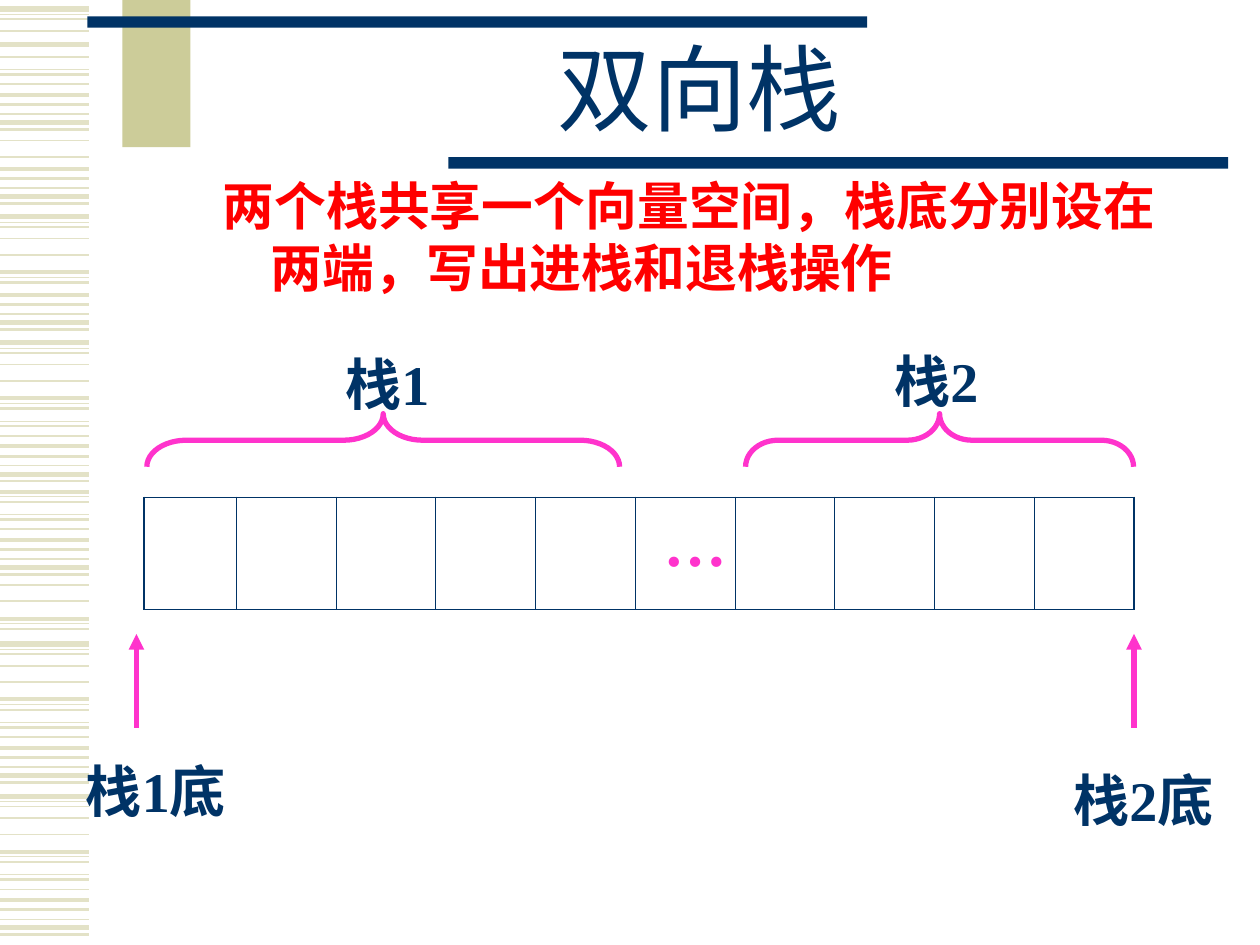
from lxml import etree
from pptx import Presentation
from pptx.dml.color import RGBColor
from pptx.enum.shapes import MSO_CONNECTOR, MSO_SHAPE
from pptx.enum.text import MSO_ANCHOR, PP_ALIGN
from pptx.oxml.ns import qn
from pptx.util import Cm, Pt

RECT, BRACE = MSO_SHAPE.RECTANGLE, MSO_SHAPE.LEFT_BRACE
LINE = MSO_CONNECTOR.STRAIGHT
MID, TOP = MSO_ANCHOR.MIDDLE, MSO_ANCHOR.TOP
MIDST, LEFT = PP_ALIGN.CENTER, PP_ALIGN.LEFT
HUES = {"navy": "003366", "pink": "FF33CC", "red": "FF0000",
        "sand": "CCCC99", "pale": "E3E2C7"}
LATIN, HAN = "Times New Roman", "Noto Sans CJK SC"
MOTIF = [(0, 3), (0.11, 0.75), (0.21, 1), (0.44, 1), (0.77, 1), (1.12, 2.25),
         (1.22, 0.75), (1.33, 1.5), (1.58, 0.75), (1.68, 1.5), (1.88, 1),
         (2.09, 2.25), (2.29, 1.5), (2.48, 0.75), (2.65, 3), (2.79, 1.5)]
BANDS = [(0.18, 0, 4), (0.89, 0, 1), (-0.18, 7, 16), (2.39, 3, 5),
         (1.31, 11, 16), (4.37, 0, 8), (3.85, 11, 16), (6.91, 0, 16),
         (8.79, 5, 16), (11.35, 3, 8), (12.98, 0, 16), (16.05, 0, 16)]


def hue(name):
    return RGBColor.from_string(HUES[name])


def add_line(slide, start, end, color, weight):
    line = slide.shapes.add_connector(LINE, *map(Cm, start + end))
    line.line.color.rgb = hue(color)
    line.line.width = Pt(weight)
    etree.SubElement(line._element.spPr, qn("a:effectLst"))
    return line


def add_bar(slide, box, color):
    bar = slide.shapes.add_shape(RECT, *map(Cm, box))
    bar.shadow.inherit = False
    bar.fill.solid()
    bar.fill.fore_color.rgb = hue(color)
    bar.line.fill.background()


def add_text(slide, box, text, size, color="navy", face=LATIN, bold=True,
             align=LEFT, anchor=TOP, before=0, spacing=1.0, hang=0):
    frame = slide.shapes.add_textbox(*map(Cm, box)).text_frame
    frame.word_wrap = True
    frame.vertical_anchor = anchor
    para = frame.paragraphs[0]
    style = {"alignment": align, "space_before": Pt(before),
             "line_spacing": spacing}
    for key, value in style.items():
        setattr(para, key, value)
    if hang:
        props = para._p.get_or_add_pPr()
        props.set("marL", str(Cm(hang)))
        props.set("indent", str(-Cm(hang)))
    run = para.add_run()
    run.text = text
    for key, value in {"name": face, "size": Pt(size), "bold": bold}.items():
        setattr(run.font, key, value)
    run.font.color.rgb = hue(color)
    etree.SubElement(run._r.get_or_add_rPr(), qn("a:ea"), typeface=HAN)


def add_margin(slide, box):
    left, top, width, _ = box
    for base, first, last in BANDS:
        for drop, weight in MOTIF[first:last]:
            y = top + base + drop
            add_line(slide, (left, y), (left + width, y), "pale", weight)


def add_header(slide, box):
    left, top, width, _ = box
    long, thick = 15.72, 0.23
    add_bar(slide, (left + 0.71, top - 0.03, 1.37, 3), "sand")
    add_bar(slide, (left, top + 0.33, long, thick), "navy")
    add_bar(slide, (left + width - long, top + 3.17, long, thick), "navy")
    add_text(slide, (left + 2.09, top + 0.66, 20.5, 2.54), "双向栈", 54,
             face=HAN, bold=False, align=MIDST, anchor=MID, spacing=0.85)


def add_edge(cell, side, weight, index):
    edge = etree.Element(qn("a:ln" + side), w=str(Pt(weight)))
    fill = etree.SubElement(edge, qn("a:solidFill"))
    etree.SubElement(fill, qn("a:srgbClr"), val=HUES["navy"])
    cell._tc.get_or_add_tcPr().insert(index, edge)


def add_cells(slide, box, count=10, first=1.86):
    table = slide.shapes.add_table(1, count, *map(Cm, box)).table
    table.first_row = table.horz_banding = False
    table.rows[0].height = Cm(box[3])
    rest = (box[2] - first) / (count - 1)
    for i in range(count):
        table.columns[i].width = Cm(rest if i else first)
        cell = table.cell(0, i)
        cell.fill.background()
        sides = {"L": 0.45 if i else 1.08,
                 "R": 0.45 if i < count - 1 else 1.08, "T": 1.08, "B": 1.08}
        for index, (side, weight) in enumerate(sides.items()):
            add_edge(cell, side, weight, index)


def add_brace(slide, box):
    left, top, width, height = box
    shift = (width - height) / 2
    brace = slide.shapes.add_shape(
        BRACE, *map(Cm, (left + shift, top - shift, height, width)))
    brace.rotation = 90
    brace.adjustments[0] = width / height / 12
    brace.shadow.inherit = False
    brace.fill.background()
    brace.line.color.rgb = hue("pink")
    brace.line.width = Pt(3)


def add_base(slide, box, text, x):
    left, top, width, height = box
    arrow = add_line(slide, (x, top), (x, top + 1.9), "pink", 3)
    etree.SubElement(arrow.line._get_or_add_ln(), qn("a:headEnd"),
                     type="triangle")
    add_text(slide, (left, top + height - 2.97, width, 2.97), text, 32,
             before=20)


def add_stacks(slide, box):
    left, top, width, _ = box
    add_cells(slide, (left, top + 3.17, width, 2.26))
    add_base(slide, (left - 1.42, top + 5.92, 3.81, 5.31), "栈1底", left - 0.15)
    add_base(slide, (left + 18.49, top + 5.92, 3.81, 5.5), "栈2底", left + width)
    for text, x, y, start, span in [("栈1", 3.81, 0.07, 0.06, 9.53),
                                    ("栈2", 14.88, 0, 12.13, 7.82)]:
        add_brace(slide, (left + start, top + 1.48, span, 1.07))
        add_text(slide, (left + x, top + y, 3.81, 1.63), text, 32, before=20)
    add_text(slide, (left + 10.23, top + 3.17, 1.47, 1.78), "…", 36,
             color="pink", before=22.5)


def main():
    deck = Presentation()
    deck.slide_width, deck.slide_height = Cm(25.4), Cm(19.05)
    slide = deck.slides.add_slide(deck.slide_layouts[6])
    add_margin(slide, (0, 0, 1.8, 19.05))
    add_header(slide, (1.76, 0, 23, 3.4))
    add_stacks(slide, (2.9, 6.86, 19.96, 11.42))
    add_text(slide, (4.24, 3.38, 20.12, 2.95),
             "两个栈共享一个向量空间，栈底分别设在两端，写出进栈和退栈操作",
             29.6, color="red", before=8, hang=0.97)
    deck.save("out.pptx")


if __name__ == "__main__":
    main()
